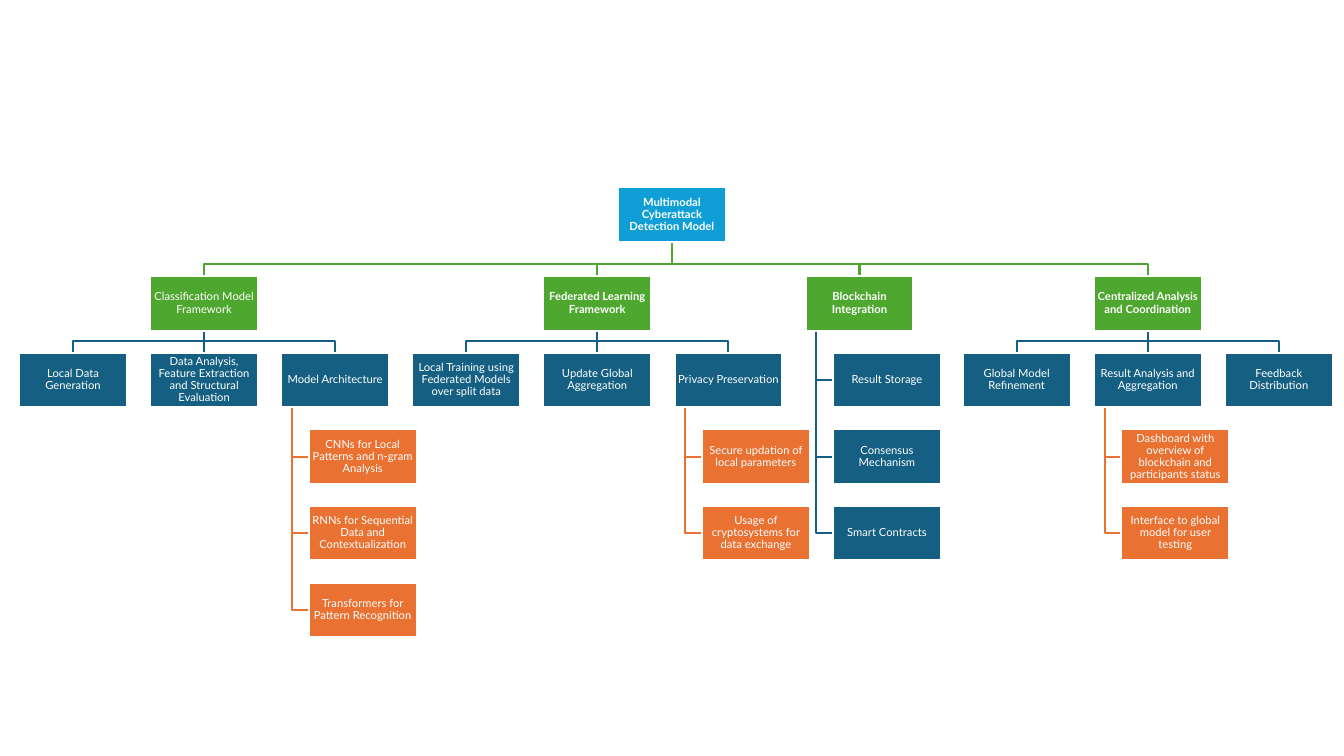
from pptx import Presentation
from pptx.dml.color import RGBColor
from pptx.enum.shapes import MSO_CONNECTOR, MSO_SHAPE
from pptx.enum.text import MSO_ANCHOR, PP_ALIGN
from pptx.oxml.ns import qn
from pptx.util import Inches, Pt

STRAIGHT = MSO_CONNECTOR.STRAIGHT
RECTANGLE = MSO_SHAPE.RECTANGLE
MIDDLE = MSO_ANCHOR.MIDDLE
CENTER = PP_ALIGN.CENTER
BOTTOM_SIDE, TOP_SIDE = 2, 0

SLIDE_W, SLIDE_H = Inches(13.33), Inches(7.5)
BOX_W, BOX_H = Inches(1.07), Inches(0.54)
GRID_LEFT, GRID_TOP = Inches(0.19), Inches(2.74)
COLUMN, ROW = Inches(1.3), Inches(0.76)
ROOT_TOP = Inches(1.86)
INDENT = 0.21
BUS_GAP = Inches(0.12)
STEM_SHARE = 0.1

WHITE, SKY, GREEN, NAVY, ORANGE = "FFFFFF", "0F9ED5", "4EA72E", "156082", "E97132"

BRANCHES = [
    ("Classification Model Framework", 1, False, [
        ("Local Data Generation", []),
        ("Data Analysis, Feature Extraction and Structural Evaluation", []),
        ("Model Architecture", [
            "CNNs for Local Patterns and n-gram Analysis",
            "RNNs for Sequential Data and Contextualization",
            "Transformers for Pattern Recognition",
        ]),
    ]),
    ("Federated Learning Framework", 4, True, [
        ("Local Training using Federated Models over split data", []),
        ("Update Global Aggregation", []),
        ("Privacy Preservation", [
            "Secure updation of local parameters",
            "Usage of cryptosystems for data exchange",
        ]),
    ]),
    ("Centralized Analysis and Coordination", 8.2, True, [
        ("Global Model Refinement", []),
        ("Result Analysis and Aggregation", [
            "Dashboard with overview of blockchain and participants status",
            "Interface to global model for user testing",
        ]),
        ("Feedback Distribution", []),
    ]),
]
BLOCKCHAIN_COLUMN = 6
BLOCKCHAIN_PARTS = ["Result Storage", "Consensus Mechanism", "Smart Contracts"]


def rgb(color):
    """Turn a hex string into a colour."""
    return RGBColor.from_string(color)


def add_box(slide, text, left, top, color, bold=False):
    """Draw one labelled box of the hierarchy."""
    box = slide.shapes.add_shape(RECTANGLE, int(left), int(top), BOX_W, BOX_H)
    box.shadow.inherit = False
    box.fill.solid()
    box.fill.fore_color.rgb = rgb(color)
    box.line.color.rgb = rgb(WHITE)
    box.line.width = Pt(1.5)
    frame = box.text_frame
    frame.word_wrap = True
    frame.vertical_anchor = MIDDLE
    frame.margin_left = frame.margin_right = Inches(0.01)
    frame.margin_top = frame.margin_bottom = Inches(0.01)
    label = frame.paragraphs[0]
    label.text = text
    label.alignment = CENTER
    label.line_spacing = 0.9
    label.font.name = "Lato"
    label.font.size = Pt(8)
    label.font.bold = bold
    label.font.color.rgb = rgb(WHITE)
    return box


def add_grid_box(slide, text, column, row, color, bold=False):
    """Draw a box at a column and row of the grid."""
    return add_box(slide, text, GRID_LEFT + column * COLUMN, GRID_TOP + row * ROW, color, bold)


def finish_link(slide, link, color):
    """Style a link and put it behind the boxes."""
    link.line.color.rgb = rgb(color)
    link.line.width = Pt(1.5)
    slide.shapes._spTree.insert(2, link._element)


def add_polyline(slide, points, color):
    """Draw an open angular link through the points."""
    builder = slide.shapes.build_freeform(*points[0])
    builder.add_line_segments(points[1:], close=False)
    link = builder.convert_to_shape()
    link.shadow.inherit = False
    link.fill.background()
    finish_link(slide, link, color)


def link_down(slide, parent, child, color):
    """Link a parent's bottom to a child's top."""
    start = parent.left + BOX_W // 2
    end = child.left + BOX_W // 2
    bottom = parent.top + BOX_H
    if start == end:
        link = slide.shapes.add_connector(STRAIGHT, start, bottom, end, child.top)
        link.begin_connect(parent, BOTTOM_SIDE)
        link.end_connect(child, TOP_SIDE)
        link._element.spPr.get_or_add_ln()
        link._element.spPr.append(link._element.makeelement(qn("a:effectLst"), {}))
        finish_link(slide, link, color)
    else:
        bus = child.top - BUS_GAP
        add_polyline(slide, [(start, bottom), (start, bus), (end, bus), (end, child.top)], color)


def add_stack(slide, parent, texts, column, row, color):
    """Hang an indented column of boxes below a parent."""
    stem = parent.left + int(BOX_W * STEM_SHARE)
    for step, text in enumerate(texts):
        child = add_grid_box(slide, text, column + INDENT, row + step, color)
        middle = child.top + BOX_H // 2
        add_polyline(slide, [(stem, parent.top + BOX_H), (stem, middle), (child.left, middle)], color)


def add_branch(slide, root, title, column, bold):
    """Draw a main branch and link it to the root."""
    branch = add_grid_box(slide, title, column, 0, GREEN, bold)
    link_down(slide, root, branch, GREEN)
    return branch


def main():
    """Build the hierarchy slide."""
    deck = Presentation()
    deck.slide_width, deck.slide_height = SLIDE_W, SLIDE_H
    slide = deck.slides.add_slide(deck.slide_layouts[6])
    root = add_box(slide, "Multimodal Cyberattack Detection Model",
                   (SLIDE_W - BOX_W) / 2, ROOT_TOP, SKY, True)
    for title, column, bold, parts in BRANCHES:
        branch = add_branch(slide, root, title, column, bold)
        for offset, (text, details) in enumerate(parts, -1):
            part_column = column + offset
            part = add_grid_box(slide, text, part_column, 1, NAVY)
            link_down(slide, branch, part, NAVY)
            add_stack(slide, part, details, part_column, 2, ORANGE)
    blockchain = add_branch(slide, root, "Blockchain Integration", BLOCKCHAIN_COLUMN, True)
    add_stack(slide, blockchain, BLOCKCHAIN_PARTS, BLOCKCHAIN_COLUMN, 1, NAVY)
    deck.save("out.pptx")


if __name__ == "__main__":
    main()
